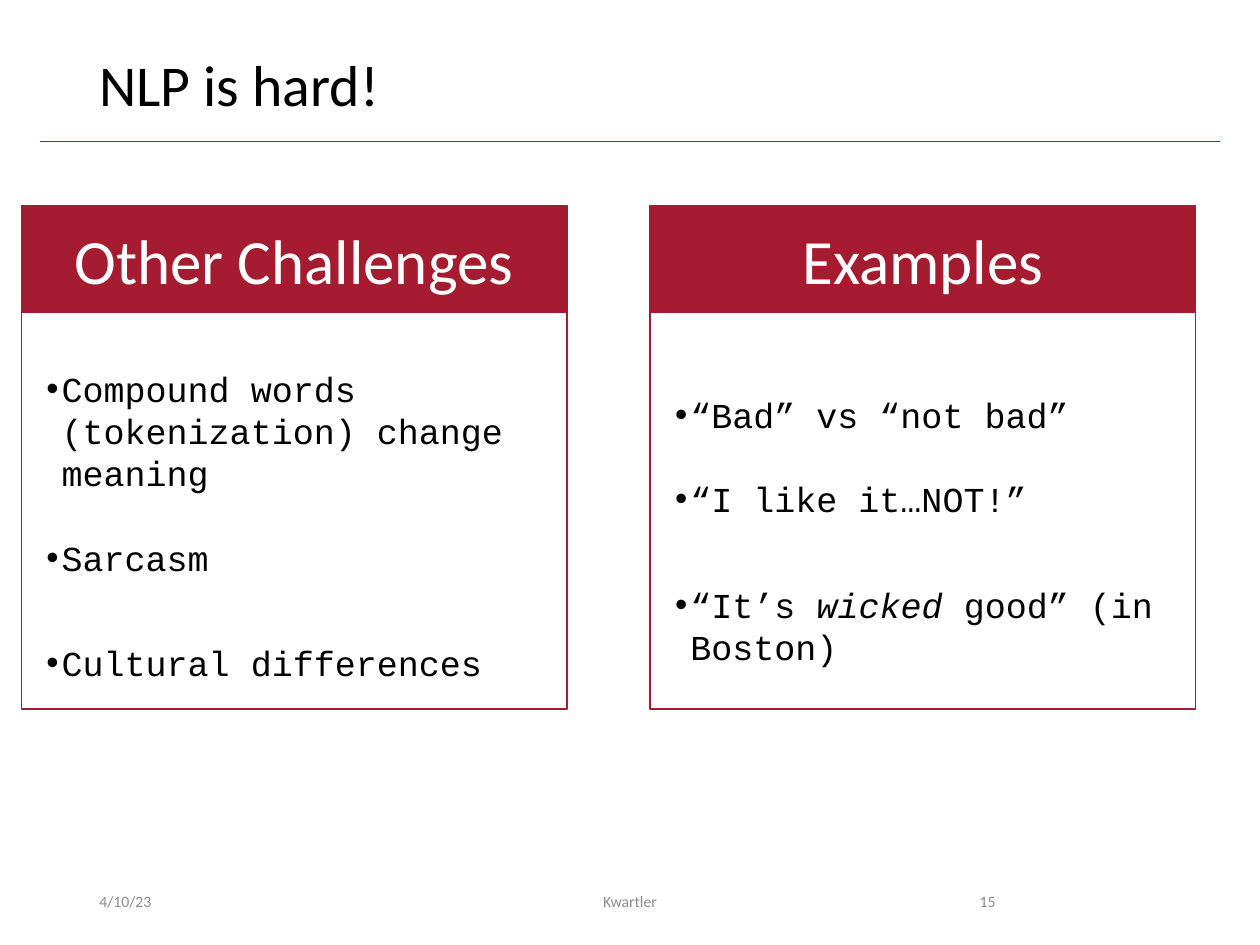
from pptx import Presentation
from pptx.util import Inches, Pt
from pptx.dml.color import RGBColor
from pptx.enum.shapes import MSO_CONNECTOR, MSO_SHAPE
from pptx.enum.text import MSO_ANCHOR, MSO_AUTO_SIZE, PP_ALIGN
from lxml import etree

RECT, STRAIGHT = MSO_SHAPE.RECTANGLE, MSO_CONNECTOR.STRAIGHT
LEFT, CENTER, RIGHT = PP_ALIGN.LEFT, PP_ALIGN.CENTER, PP_ALIGN.RIGHT
TOP, MIDDLE = MSO_ANCHOR.TOP, MSO_ANCHOR.MIDDLE

# Content: a bullet is a list of (text, italic) runs
TITLE = "NLP is hard!"
PANELS = [
    ("Other Challenges", 2.83, 2.31, [
        [("Compound words (tokenization) change meaning", False)],
        [("Sarcasm", False)],
        [("Cultural differences", False)],
    ]),
    ("Examples", 3.03, 1.97, [
        [("“Bad” vs “not bad”", False)],
        [("“I like it…NOT!”", False)],
        [("“It’s ", False), ("wicked", True), (" good” (in Boston)", False)],
    ]),
]
FOOTER = [("4/10/23", 0.69, 2.25, LEFT),
          ("Kwartler", 3.31, 3.38, CENTER),
          ("15", 7.06, 0.94, RIGHT)]

THEME = {
    "red": RGBColor(0xA5, 0x1C, 0x30), "black": RGBColor(0, 0, 0),
    "white": RGBColor(255, 255, 255), "gray": RGBColor(0x8C, 0x8C, 0x8C),
    "sans": "Calibri", "mono": "Courier New",
    "title": 33, "head": 36, "body": 20, "foot": 9,
}
W, H = 10, 7.5
MARGIN = 0.69
PANEL_X, PANEL_STEP, PANEL_W = 0.17, 4.99, 4.33
HEAD_Y, HEAD_H, FRAME_Y, FRAME_H = 1.63, 0.85, 1.78, 3.85
LINE_PT, GAPS = 24, (0, 24, 36.5)
INDENT = 0.12

prs = Presentation()
prs.slide_width, prs.slide_height = Inches(W), Inches(H)
s = prs.slides.add_slide(prs.slide_layouts[6])


def add_run(p, text, size, color, font="sans", italic=False):
    r = p.add_run()
    r.text = text
    r.font.name, r.font.size = THEME[font], Pt(THEME[size])
    r.font.color.rgb = THEME[color]
    if italic:
        r.font.italic = True


def add_box(x, y, w, h, anchor=TOP):
    tf = s.shapes.add_textbox(*map(Inches, (x, y, w, h))).text_frame
    tf.word_wrap, tf.vertical_anchor = True, anchor
    return tf


def add_rect(x, y, w, h, fill=None):
    sp = s.shapes.add_shape(RECT, *map(Inches, (x, y, w, h)))
    sp.shadow.inherit = False
    if fill:
        sp.fill.solid()
        sp.fill.fore_color.rgb = THEME[fill]
    else:
        sp.fill.background()
    sp.line.color.rgb, sp.line.width = THEME["red"], Pt(1)
    return sp


def add_bullet(p):
    pPr = p._p.get_or_add_pPr()
    pPr.set("marL", str(Inches(INDENT)))
    pPr.set("indent", str(-Inches(INDENT)))
    ns = pPr.nsmap["a"]
    etree.SubElement(pPr, f"{{{ns}}}buFont").set("typeface", "Arial")
    etree.SubElement(pPr, f"{{{ns}}}buChar").set("char", "•")


# Rule under the title
rule = s.shapes.add_connector(
    STRAIGHT, Inches(0.32), Inches(1.12), Inches(W - 0.32), Inches(1.12))
rule.line.color.rgb, rule.line.width = THEME["red"], Pt(0.5)
spPr = rule._element.spPr
etree.SubElement(spPr, f"{{{spPr.nsmap['a']}}}effectLst")

# Title
p = add_box(MARGIN, 0.4, W - 2 * MARGIN, 0.65).paragraphs[0]
p.line_spacing = 0.9
add_run(p, TITLE, "title", "black")

# Footer
for text, x, w, align in FOOTER:
    p = add_box(x, 6.95, w, 0.4, MIDDLE).paragraphs[0]
    p.alignment = align
    add_run(p, text, "foot", "gray")

# Panels: bullets, header bar, frame
for col, (head, body_y, body_h, bullets) in enumerate(PANELS):
    x = PANEL_X + col * PANEL_STEP
    tf = add_box(x + 0.1, body_y, 4.15, body_h)
    tf.margin_top = Inches(0.09)
    tf.auto_size = MSO_AUTO_SIZE.SHAPE_TO_FIT_TEXT
    for i, (runs, gap) in enumerate(zip(bullets, GAPS)):
        p = tf.add_paragraph() if i else tf.paragraphs[0]
        p.line_spacing = Pt(LINE_PT)
        p.space_before = Pt(gap)
        add_bullet(p)
        for text, italic in runs:
            add_run(p, text, "body", "black", "mono", italic)

    tf = add_rect(x, HEAD_Y, PANEL_W, HEAD_H, "red").text_frame
    tf.vertical_anchor = MIDDLE
    p = tf.paragraphs[0]
    p.alignment = CENTER
    add_run(p, head, "head", "white")

    add_rect(x, FRAME_Y, PANEL_W, FRAME_H)

prs.save("out.pptx")
